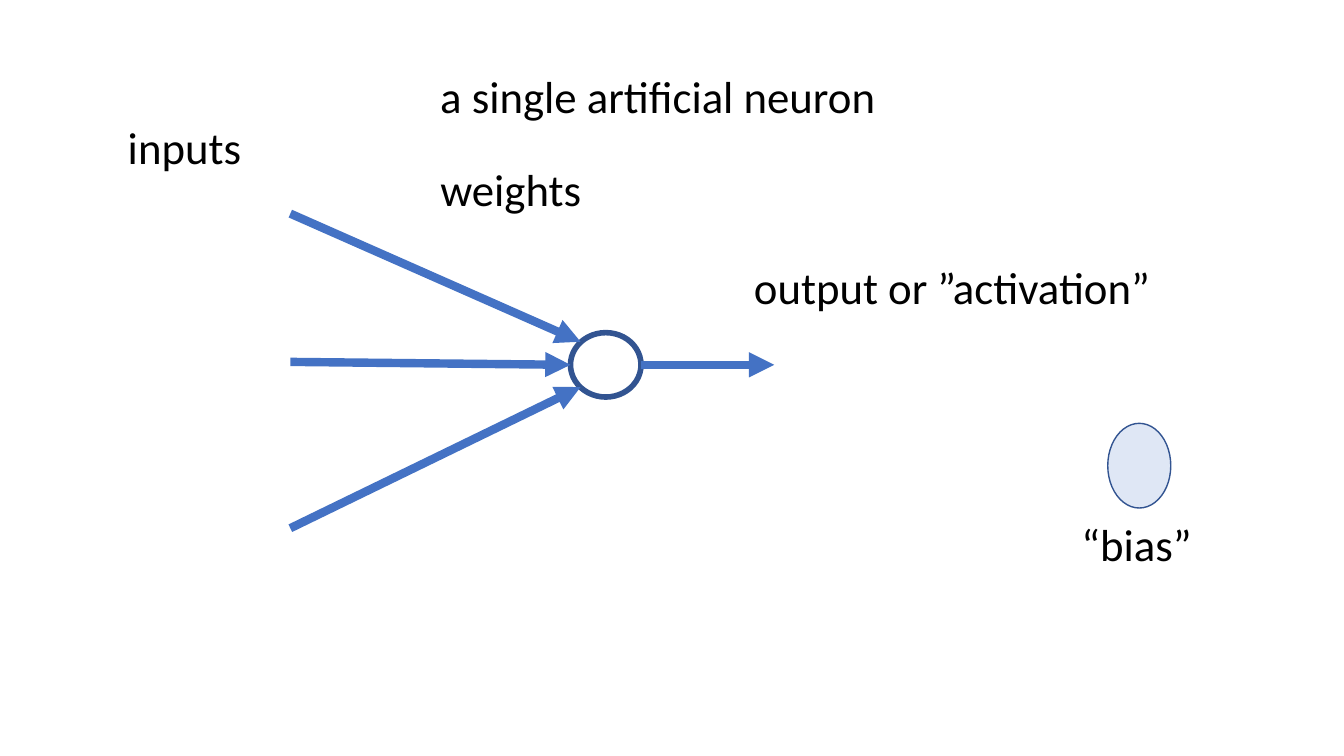
import pptx
import pptx.dml.color
import pptx.enum.shapes
import pptx.enum.text
import pptx.oxml.ns
import pptx.util
from lxml import etree

Pt = pptx.util.Pt
qn = pptx.oxml.ns.qn


def color(hex_string):
    return pptx.dml.color.RGBColor.from_string(hex_string)


class NeuronSlide:
    font_name = "Calibri"
    font_size = 32
    text_color = "000000"
    arrow_color = "4472C4"
    outline_color = "325491"

    def __init__(self, presentation):
        self.shapes = presentation.slides.add_slide(presentation.slide_layouts[6]).shapes

    def ellipse(self, left, top, width, height, line_width, fill=None, opacity=100):
        shape = self.shapes.add_shape(
            pptx.enum.shapes.MSO_SHAPE.OVAL, Pt(left), Pt(top), Pt(width), Pt(height))
        shape.shadow.inherit = False
        shape.line.color.rgb = color(self.outline_color)
        shape.line.width = Pt(line_width)
        if fill is None:
            shape.fill.background()
            return
        shape.fill.solid()
        shape.fill.fore_color.rgb = color(fill)
        fill_color = shape._element.spPr.find(qn("a:solidFill"))[0]
        etree.SubElement(fill_color, qn("a:alpha"), val=str(opacity * 1000))

    def arrow(self, start, end):
        connector = self.shapes.add_connector(
            pptx.enum.shapes.MSO_CONNECTOR.STRAIGHT, *map(Pt, start + end))
        connector.line.color.rgb = color(self.arrow_color)
        connector.line.width = Pt(6)
        etree.SubElement(connector.line._get_or_add_ln(), qn("a:tailEnd"), type="triangle")
        etree.SubElement(connector._element.spPr, qn("a:effectLst"))

    def label(self, text, left, top, width):
        text_frame = self.shapes.add_textbox(Pt(left), Pt(top), Pt(width), Pt(46)).text_frame
        text_frame.word_wrap = False
        text_frame.auto_size = pptx.enum.text.MSO_AUTO_SIZE.SHAPE_TO_FIT_TEXT
        text_frame.text = text
        font = text_frame.paragraphs[0].runs[0].font
        font.name = self.font_name
        font.size = Pt(self.font_size)
        font.color.rgb = color(self.text_color)


def main():
    presentation = pptx.Presentation()
    presentation.slide_width, presentation.slide_height = Pt(960), Pt(540)
    slide = NeuronSlide(presentation)

    # Neuron
    slide.ellipse(407.5, 237.6, 50.4, 46, line_width=4)

    # Weighted inputs
    input_x = 207.4
    for input_y, end in ((152.6, (414.7, 244.1)),
                         (258.5, (407.5, 260.6)),
                         (377.3, (414.7, 276.5))):
        slide.arrow((input_x, input_y), end)

    # Output
    slide.arrow((457.9, 260.6), (553, 260.6))

    # Labels
    for text, left, top, width in (
            ("a single artificial neuron", 307.4, 45.4, 329),
            ("inputs", 84.2, 82.1, 96.5),
            ("output or ”activation”", 531.4, 182.2, 301),
            ("weights", 307.4, 111.6, 116.6),
            ("“bias”", 765.4, 365.8, 94.3)):
        slide.label(text, left, top, width)

    # Bias
    slide.ellipse(791.3, 302.4, 45, 60.5, line_width=1, fill=slide.arrow_color, opacity=17)

    presentation.save("out.pptx")


if __name__ == "__main__":
    main()
